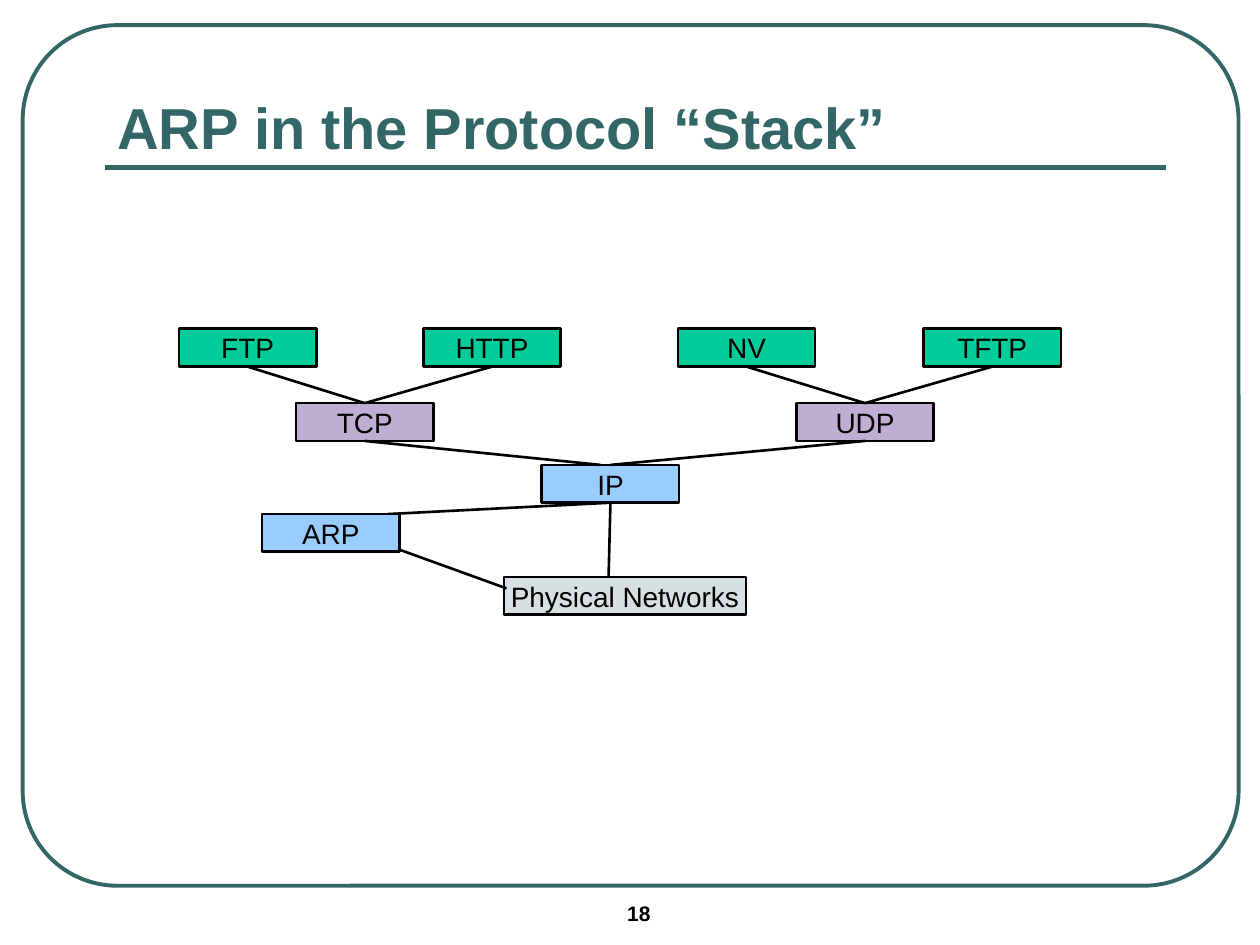
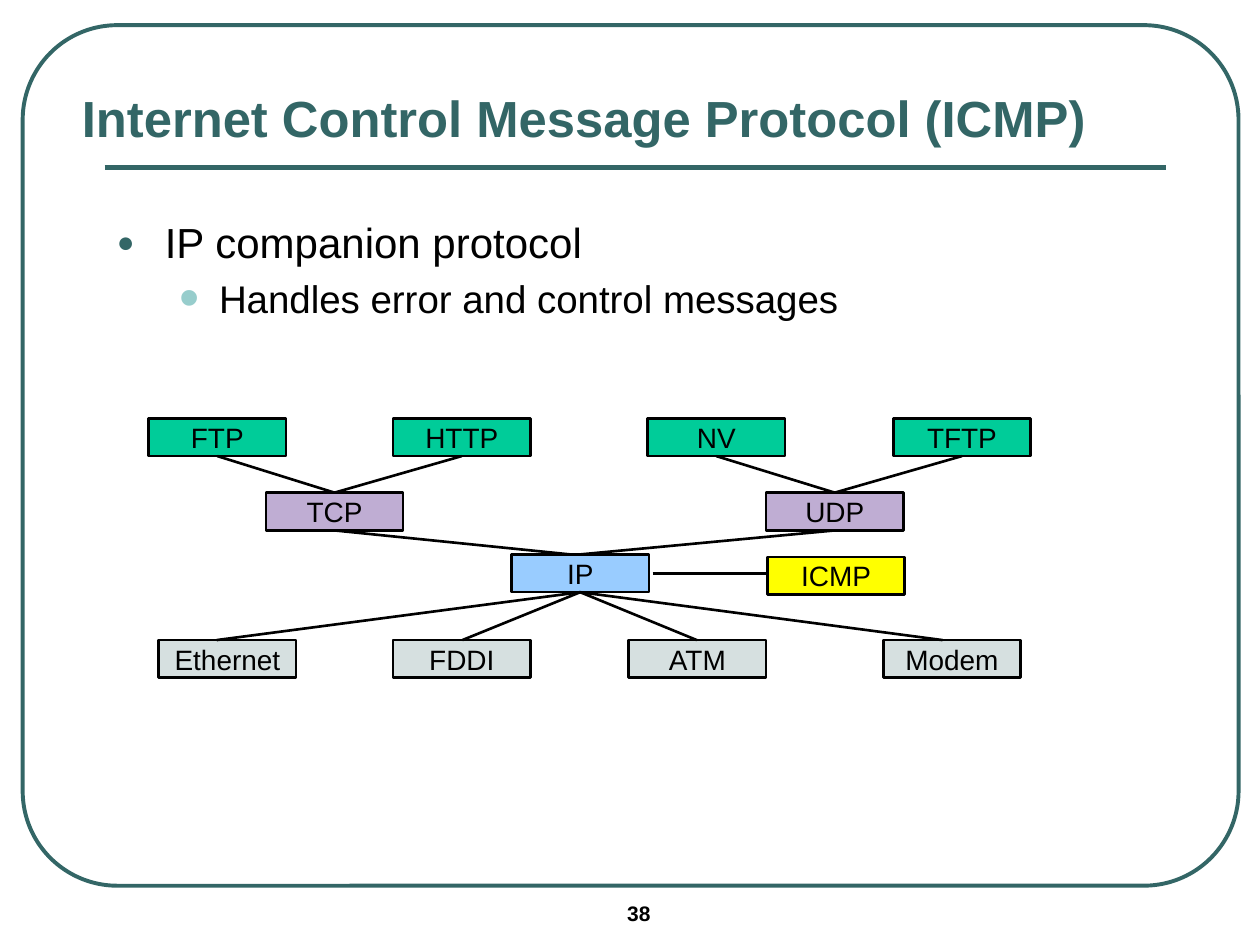
from dataclasses import dataclass

from lxml.etree import SubElement
from pptx import Presentation
from pptx.dml.color import RGBColor
from pptx.enum.shapes import MSO_CONNECTOR, MSO_SHAPE
from pptx.enum.text import MSO_ANCHOR, MSO_AUTO_SIZE, PP_ALIGN
from pptx.oxml.ns import qn
from pptx.util import Inches, Pt


@dataclass(frozen=True)
class Theme:
    font: str = "Arial"
    accent: str = "336666"
    accent_light: str = "97CDCC"
    ink: str = "000000"
    application: str = "00CC99"
    transport: str = "BFADD3"
    internet: str = "99CCFF"
    network: str = "D6E0E0"
    control: str = "FFFF00"
    point_size: int = 24
    subpoint_size: int = 22
    label_size: int = 16
    page_size: int = 12
    frame_line: float = 2.25
    rule_line: float = 3
    line: float = 1.5


THEME = Theme()
BOX_WIDTH, BOX_HEIGHT = 1.09, 0.3
TITLE_ONLY = 5


@dataclass(frozen=True)
class Box:
    left: float
    top: float
    width: float = BOX_WIDTH

    @property
    def top_mid(self):
        return self.left + self.width / 2, self.top

    @property
    def bottom_mid(self):
        return self.left + self.width / 2, self.top + BOX_HEIGHT


def rgb(color):
    return RGBColor.from_string(color)


def write(paragraph, text, size=THEME.label_size, color=THEME.ink, bold=False,
          align=PP_ALIGN.LEFT):
    run = paragraph.add_run()
    run.text = text
    run.font.name = THEME.font
    run.font.size = Pt(size)
    run.font.bold = bold
    run.font.color.rgb = rgb(color)
    paragraph.alignment = align


def add_text_area(slide, left, top, width, height):
    area = slide.shapes.add_textbox(
        Inches(left), Inches(top), Inches(width), Inches(height))
    area.text_frame.word_wrap = True
    return area.text_frame


def add_outline(slide, kind, left, top, width, height, color, weight):
    outline = slide.shapes.add_shape(
        kind, Inches(left), Inches(top), Inches(width), Inches(height))
    outline.shadow.inherit = False
    outline.line.color.rgb = rgb(color)
    outline.line.width = Pt(weight)
    return outline


def add_line(slide, start, end, color=THEME.ink, weight=THEME.line):
    line = slide.shapes.add_connector(
        MSO_CONNECTOR.STRAIGHT, *(Inches(value) for value in (*start, *end)))
    line.line.color.rgb = rgb(color)
    line.line.width = Pt(weight)
    SubElement(line._element.spPr, qn("a:effectLst"))


def add_box(slide, label, left, top, fill, width=BOX_WIDTH):
    protocol = add_outline(slide, MSO_SHAPE.RECTANGLE, left, top, width,
                           BOX_HEIGHT, THEME.ink, THEME.line)
    protocol.fill.solid()
    protocol.fill.fore_color.rgb = rgb(fill)
    frame = protocol.text_frame
    frame.word_wrap = False
    frame.vertical_anchor = MSO_ANCHOR.MIDDLE
    write(frame.paragraphs[0], label, align=PP_ALIGN.CENTER)
    return Box(left, top, width)


def add_bullet(paragraph, text, size, level, indent, hanging, mark, mark_color,
               mark_percent):
    paragraph.level = level
    paragraph.space_before = Pt(size * 0.2)
    write(paragraph, text, size=size)
    properties = paragraph._p.get_or_add_pPr()
    properties.set("marL", str(Inches(indent)))
    properties.set("indent", str(-Inches(hanging)))
    color = SubElement(properties, qn("a:buClr"))
    SubElement(color, qn("a:srgbClr"), val=mark_color)
    SubElement(properties, qn("a:buSzPct"), val=str(mark_percent * 1000))
    SubElement(properties, qn("a:buFont"), typeface=THEME.font)
    SubElement(properties, qn("a:buChar"), char=mark)


def add_titled_slide(deck, title, title_size, title_area, page):
    slide = deck.slides.add_slide(deck.slide_layouts[TITLE_ONLY])
    heading = slide.shapes.title
    heading.left, heading.top, heading.width, heading.height = map(
        Inches, title_area)
    heading.text_frame.auto_size = MSO_AUTO_SIZE.NONE
    heading.text_frame.vertical_anchor = MSO_ANCHOR.BOTTOM
    write(heading.text_frame.paragraphs[0], title, size=title_size,
          color=THEME.accent, bold=True)
    border = add_outline(slide, MSO_SHAPE.ROUNDED_RECTANGLE, 0.18, 0.2, 9.65,
                         6.83, THEME.accent, THEME.frame_line)
    border.adjustments[0] = 0.11
    border.fill.background()
    add_line(slide, (0.83, 1.33), (9.25, 1.33), THEME.accent, THEME.rule_line)
    footer = add_text_area(slide, 4.88, 7.1, 1.17, 0.33)
    write(footer.paragraphs[0], str(page), size=THEME.page_size, bold=True)
    return slide


def add_upper_stack(slide, left, top):
    ip = add_box(slide, "IP", left + 2.88, top + 1.08, THEME.internet)
    ip_x, ip_y = ip.top_mid
    branches = (
        ("TCP", 0.93, (("FTP", 0), ("HTTP", 1.94)), -0.08),
        ("UDP", 4.9, (("NV", 3.96), ("TFTP", 5.91)), 0),
    )
    for transport_name, transport_x, applications, shift in branches:
        transport = add_box(slide, transport_name, left + transport_x,
                            top + 0.59, THEME.transport)
        for name, x in applications:
            application = add_box(slide, name, left + x, top,
                                  THEME.application)
            add_line(slide, application.bottom_mid, transport.top_mid)
        add_line(slide, transport.bottom_mid, (ip_x + shift, ip_y))
    return ip


def build_arp_slide(deck):
    slide = add_titled_slide(deck, "ARP in the Protocol “Stack”", 33,
                             (0.83, 0.58, 8.42, 0.75), 18)
    ip = add_upper_stack(slide, 1.42, 2.61)
    physical = add_box(slide, "Physical Networks", 4, 4.58, THEME.network,
                       width=1.92)
    add_line(slide, ip.bottom_mid, (4.83, physical.top))
    add_line(slide, ip.bottom_mid, (3.08, 4.08))
    add_line(slide, (4.02, 4.67), (3.08, 4.33))
    add_box(slide, "ARP", 2.08, 4.08, THEME.internet)


def build_icmp_slide(deck):
    slide = add_titled_slide(deck, "Internet Control Message Protocol (ICMP)",
                             29, (0.55, 0.57, 9.08, 0.65), 38)
    body = add_text_area(slide, 0.83, 1.67, 8.42, 4.83)
    add_bullet(body.paragraphs[0], "IP companion protocol", THEME.point_size,
               0, 0.38, 0.38, "●", THEME.accent, 70)
    add_bullet(body.add_paragraph(), "Handles error and control messages",
               THEME.subpoint_size, 1, 0.81, 0.31, "•", THEME.accent_light,
               150)
    ip = add_upper_stack(slide, 1.18, 3.32)
    networks = (("Ethernet", 1.26), ("FDDI", 3.12), ("ATM", 4.99),
                ("Modem", 7.01))
    link_ends = (1.72, 3.67, 5.53, 7.48)
    for (name, left), link_x in zip(networks, link_ends):
        network = add_box(slide, name, left, 5.08, THEME.network)
        add_line(slide, ip.bottom_mid, (link_x, network.top))
    add_box(slide, "ICMP", 6.09, 4.42, THEME.control)
    add_line(slide, (5.18, 4.55), (6.1, 4.55))


def main():
    deck = Presentation()
    deck.slide_width, deck.slide_height = Inches(10), Inches(7.5)
    build_arp_slide(deck)
    build_icmp_slide(deck)
    deck.save("out.pptx")


if __name__ == "__main__":
    main()
